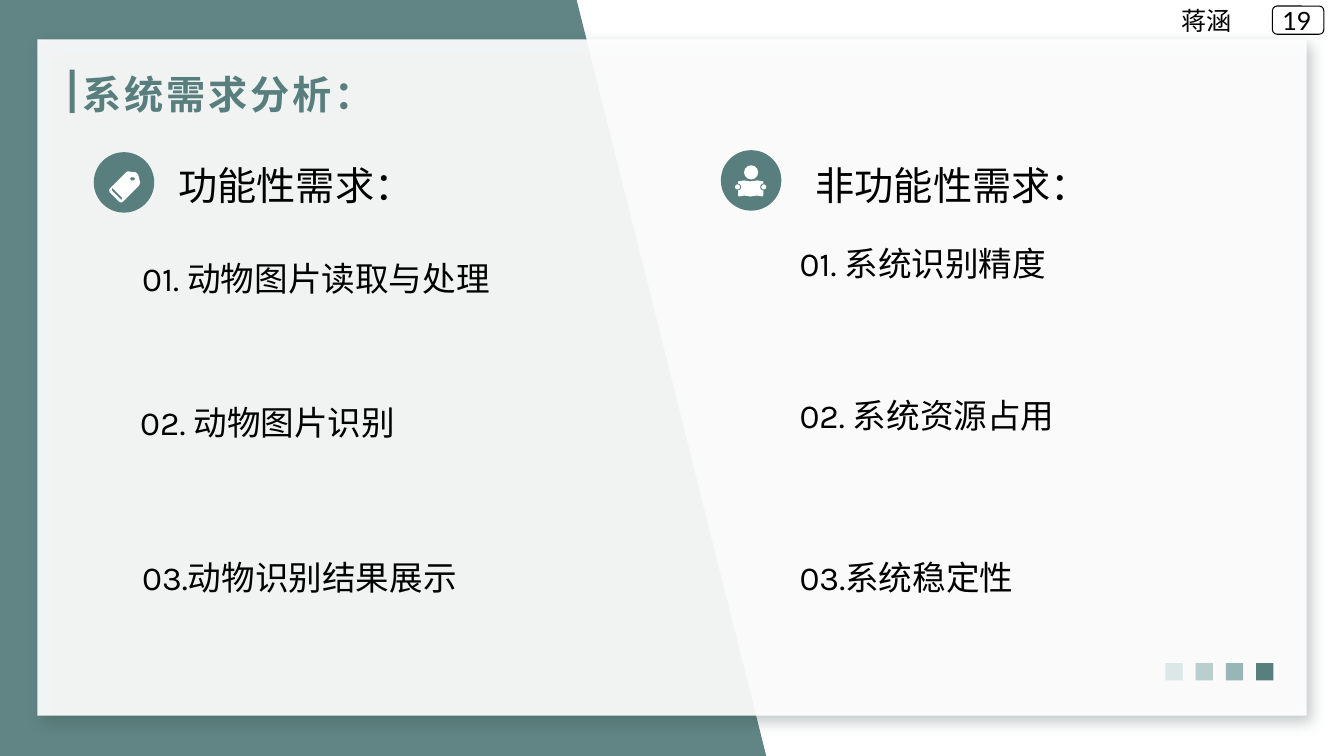
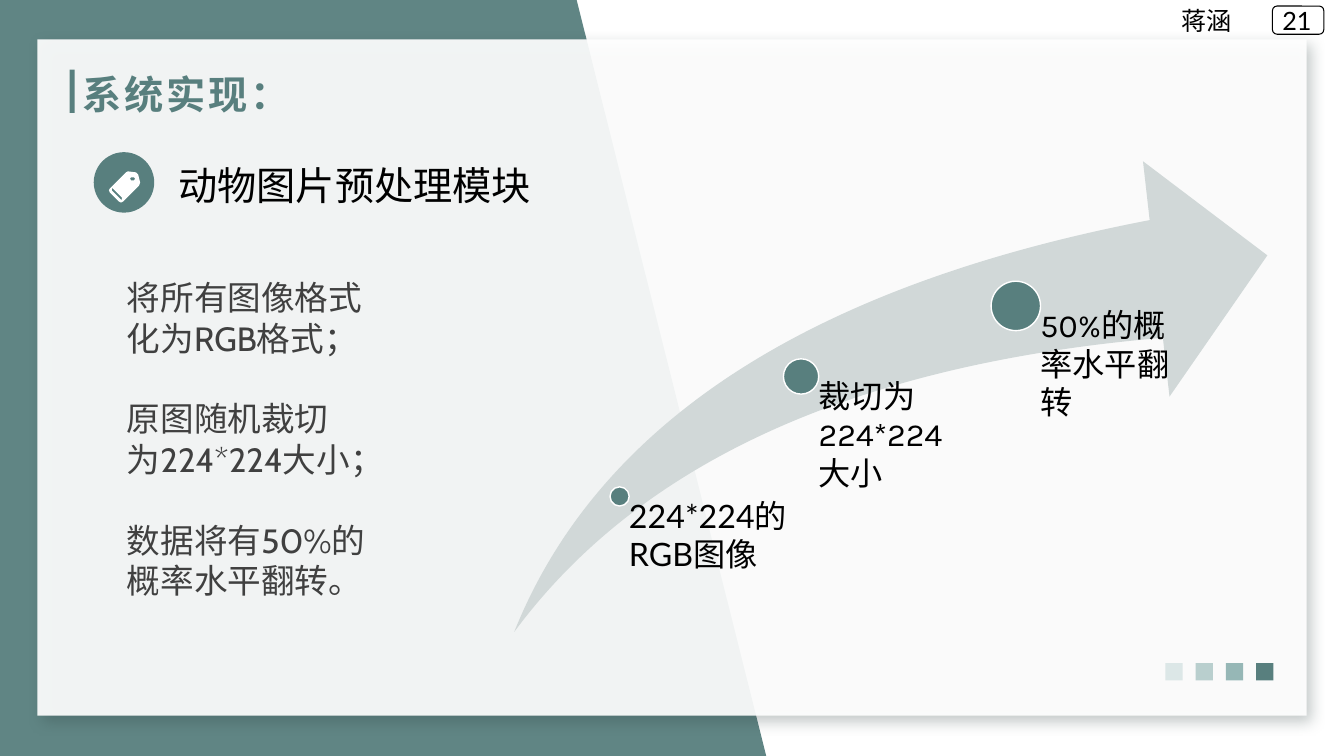
from dataclasses import dataclass
from lxml.etree import SubElement as Sub
from pptx import Presentation
from pptx.dml.color import RGBColor as RGB
from pptx.enum.shapes import MSO_SHAPE as Form
from pptx.oxml.ns import qn
from pptx.util import Emu, Pt

SCALE = 9144


@dataclass(frozen=True)
class Theme:
    """Colours, type sizes and fonts."""
    teal: str = "587F7E"
    tints: tuple = ("DCE7E7", "B9CFCE", "96B7B6", "587F7E")
    white: str = "FFFFFF"
    black: str = "000000"
    gray: str = "404040"
    arrow: str = "D1D8D8"
    shade: str = "2C403F"
    head: int = 28
    body: int = 24
    label: int = 23
    small: int = 18
    main: str = "Karla"
    note: str = "Lato"
    prose: str = "Cabin"


def px(*nums):
    """Turn px into EMU."""
    return [Emu(round(n * SCALE)) for n in nums]


class Deck:
    """Holds the style and the current slide."""

    def __init__(self, theme):
        """Start an empty deck."""
        self.theme = theme
        self.file = Presentation()
        self.file.slide_width, self.file.slide_height = px(1333, 750)
        self.slide = None

    def paint(self, shape, fill, line=None, width=1, alpha=100):
        """Set fill, outline and opacity."""
        shape.shadow.inherit = False
        shape.fill.solid()
        shape.fill.fore_color.rgb = RGB.from_string(fill)
        if alpha < 100:
            color = shape.element.spPr.find(".//" + qn("a:srgbClr"))
            Sub(color, qn("a:alpha"), val=str(alpha * 1000))
        if line:
            shape.line.color.rgb = RGB.from_string(line)
            shape.line.width = Pt(width)
        else:
            shape.line.fill.background()
        return shape

    def shape(self, form, box, fill, **look):
        """Add a preset shape."""
        return self.paint(self.slide.shapes.add_shape(form, *px(*box)), fill, **look)

    def outline(self, rings, fill, **look):
        """Add a polygon made of closed rings."""
        first, *rest = rings
        pen = self.slide.shapes.build_freeform(*first[0], scale=SCALE)
        pen.add_line_segments(first[1:], close=True)
        for ring in rest:
            pen.move_to(*ring[0])
            pen.add_line_segments(ring[1:], close=True)
        return self.paint(pen.convert_to_shape(), fill, **look)

    def text(self, box, lines, size, font=None, color=None, inset=(0, 0, 0, 0),
             bold=False, track=0, gap=0):
        """Add a text box with one paragraph for each line."""
        shape = self.slide.shapes.add_textbox(*px(*box))
        frame = shape.text_frame
        frame.word_wrap = True
        (frame.margin_left, frame.margin_top,
         frame.margin_right, frame.margin_bottom) = px(*inset)
        frame.text = lines
        for index, para in enumerate(frame.paragraphs):
            if index:
                para.space_before = Pt(gap)
            for run in para.runs:
                run.font.size = Pt(size)
                run.font.bold = bold
                run.font.name = font or self.theme.main
                run.font.color.rgb = RGB.from_string(color or self.theme.black)
        for props in shape.element.iter(qn("a:rPr")):
            Sub(props, qn("a:ea"), typeface=font or self.theme.main)
            if track:
                props.set("spc", str(track * 100))
        return shape

    def cast(self, shape):
        """Give a shape a soft shadow."""
        effects = shape.element.spPr.find(qn("a:effectLst"))
        shadow = Sub(effects, qn("a:outerShdw"), blurRad=str(Pt(10)),
                     dist=str(Pt(6)), dir=str(45 * 60000), algn="tl", rotWithShape="0")
        color = Sub(shadow, qn("a:srgbClr"), val=self.theme.shade)
        Sub(color, qn("a:alpha"), val="30000")

    def page(self, title, number):
        """Start a slide with its frame, title and page number."""
        look = self.theme
        self.slide = self.file.slides.add_slide(self.file.slide_layouts[6])
        self.outline([[(0, 0), (572, 0), (760, 750), (0, 750)]], look.teal, alpha=95)
        self.cast(self.shape(Form.RECTANGLE, (37, 39, 1259, 671), look.white, alpha=92))
        for index, tint in enumerate(look.tints):
            self.shape(Form.RECTANGLE, (1156 + 30 * index, 658, 17, 17), tint)
        self.shape(Form.RECTANGLE, (69, 69, 5, 43), look.teal)
        self.shape(Form.ROUNDED_RECTANGLE, (1262, 6, 51, 28), look.white,
                   line=look.black, width=0.75)
        pad = (10, 5, 10, 5)
        self.text((1262, 0, 51, 40), number, look.small, look.note, inset=pad)
        self.text((72, 65, 528, 48), title, look.head, color=look.teal,
                  inset=pad, bold=True, track=2)
        self.text((1162, 0, 127, 40), "蒋涵", look.small, look.note, inset=pad)

    def disc(self, x, y, size, fill, **look):
        """Add a circle."""
        return self.shape(Form.OVAL, (x, y, size, size), fill, **look)

    def tag(self, x, y):
        """Add a round badge with a price tag."""
        self.disc(x, y, 60, self.theme.teal)
        body = [(46, 30), (44, 22), (42, 20), (34, 19), (32, 20), (16, 36), (15, 38),
                (16, 40), (25, 49), (27, 50), (29, 49), (45, 33)]
        slit = [(28, 47), (27, 47), (18, 38), (18, 36), (19, 36), (28, 45)]
        hole = [(40, 28), (37, 28), (36, 26), (37, 25), (40, 25), (41, 26)]
        self.outline([[(x + a, y + b) for a, b in ring] for ring in (body, slit, hole)],
                     self.theme.white)

    def reader(self, x, y):
        """Add a round badge with a person holding a book."""
        look = self.theme
        self.disc(x, y, 60, look.teal)
        book = [(17, 31), (23, 30), (29, 31), (36, 30), (42, 31), (42, 45), (41, 46),
                (36, 45), (29, 46), (23, 45), (18, 46), (17, 45)]
        self.outline([[(x + a, y + b) for a, b in book]], look.white)
        self.disc(x + 23, y + 15, 14, look.white)
        for side in (14, 40):
            self.disc(x + side - 1, y + 33, 7, look.teal)
            self.disc(x + side, y + 34, 5, look.white)

    def head(self, x, text, width):
        """Add a section heading."""
        self.text((x, 160, width, 47), text, self.theme.head)

    def stop(self, x, y, size, font, text):
        """Add a dot on the arrow with its label."""
        look = self.theme
        half = size // 2
        self.disc(x - half, y - half, size, look.teal, line=look.white)
        self.text((x, y, 170, 627 - y), text, look.label, font, inset=(half + 1, 0, 0, 0))


def needs(deck):
    """Build the requirements slide."""
    deck.page("系统需求分析：", "19")
    deck.tag(93, 151)
    deck.head(177, "功能性需求：", 222)
    deck.reader(715, 149)
    deck.head(809, "非功能性需求：", 280)
    items = [(141, 256, 401, "01. 动物图片读取与处理"),
             (139, 399, 323, "02. 动物图片识别"),
             (141, 553, 333, "03.动物识别结果展示"),
             (793, 241, 326, "01. 系统识别精度"),
             (793, 392, 289, "02. 系统资源占用"),
             (793, 553, 283, "03.系统稳定性")]
    for x, y, width, text in items:
        deck.text((x, y, width, 40), text, deck.theme.body)


def build(deck):
    """Build the implementation slide."""
    look = deck.theme
    deck.page("系统实现：", "21")
    deck.tag(93, 151)
    deck.head(177, "动物图片预处理模块", 416)
    steps = ("将所有图像格式\v化为RGB格式；", "原图随机裁切\v为224*224大小；",
             "数据将有50%的\v概率水平翻转。")
    deck.text((116, 270, 452, 375), "\n".join(steps), look.body, look.prose,
              look.gray, inset=(10, 5, 10, 5), gap=29)
    arrow = deck.shape(Form.SWOOSH_ARROW, (510, 160, 747, 467), look.arrow)
    arrow.adjustments[0] = arrow.adjustments[1] = 0.25
    deck.stop(614, 492, 19, look.note, "224*224的RGB图像")
    deck.stop(794, 373, 35, look.main, "裁切为224*224大小")
    deck.stop(1007, 303, 49, look.main, "50%的概率水平翻转")


def main():
    """Build and save the deck."""
    deck = Deck(Theme())
    needs(deck)
    build(deck)
    deck.file.save("out.pptx")


if __name__ == "__main__":
    main()
